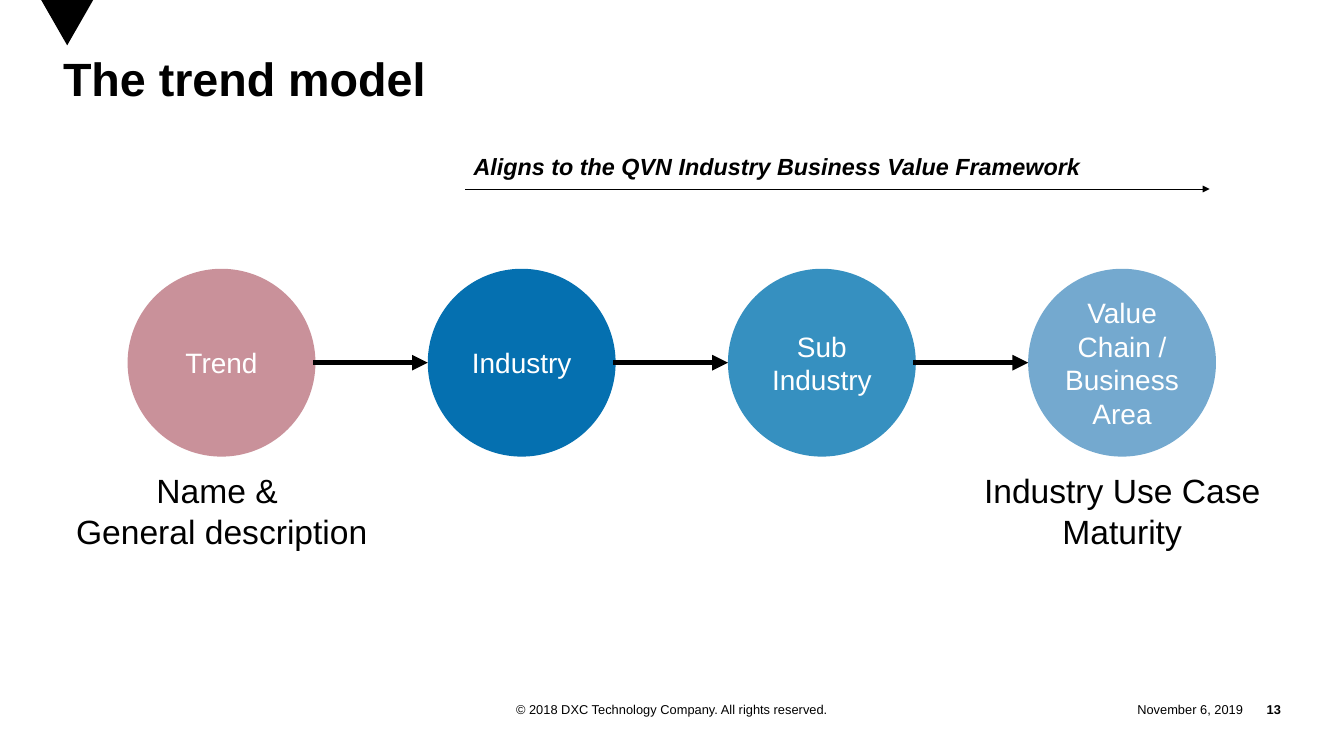
from pptx import Presentation
from pptx.util import Pt
from pptx.dml.color import RGBColor
from pptx.enum.shapes import MSO_CONNECTOR, MSO_SHAPE
from pptx.enum.text import MSO_ANCHOR, PP_ALIGN
from pptx.oxml.ns import qn
from lxml.etree import SubElement

# Content
TITLE = "The trend model"
FRAMEWORK = "Aligns to the QVN Industry Business Value Framework"
STEPS = [
    ("Trend", "rose"),
    ("Industry", "deep"),
    ("Sub\vIndustry", "mid"),
    ("Value Chain / Business Area", "light"),
]
CAPTIONS = [  # text, left, width
    ("Name & \vGeneral description", 56.9, 266.4),
    ("Industry Use Case\nMaturity", 835.2, 253.4),
]
FOOTERS = [  # text, left, width, alignment, bold
    ("© 2018 DXC Technology Company. All rights reserved.", 378, 396, PP_ALIGN.CENTER, False),
    ("November 6, 2019", 936.7, 128.9, PP_ALIGN.RIGHT, False),
    ("13", 1065.6, 32.4, PP_ALIGN.RIGHT, True),
]
COLORS = {"black": "000000", "white": "FFFFFF", "rose": "C9919A",
          "deep": "0570B0", "mid": "3690C0", "light": "74A9CF"}

# Layout in points
CIRCLE, LEFT, TOP, PITCH = 161, 109.4, 230.4, 257.3
MIDDLE = TOP + CIRCLE / 2


def rgb(name):
    return RGBColor.from_string(COLORS[name])


def write(sp, text, size, align=PP_ALIGN.LEFT, color="black", bold=False, italic=False,
          anchor=MSO_ANCHOR.TOP, wrap=True, inset=None):
    tf = sp.text_frame
    tf.text = text
    tf.word_wrap = wrap
    tf.vertical_anchor = anchor
    if inset is not None:
        tf.margin_left = tf.margin_right = tf.margin_top = tf.margin_bottom = Pt(inset)
    for p in tf.paragraphs:
        p.alignment = align
        for r in p.runs:
            f = r.font
            f.name, f.size, f.bold, f.italic = "Arial", Pt(size), bold, italic
            f.color.rgb = rgb(color)


def textbox(s, left, top, width, height):
    return s.shapes.add_textbox(Pt(left), Pt(top), Pt(width), Pt(height))


def arrow(s, x1, x2, y, weight):
    c = s.shapes.add_connector(MSO_CONNECTOR.STRAIGHT, Pt(x1), Pt(y), Pt(x2), Pt(y))
    c.line.color.rgb = rgb("black")
    c.line.width = Pt(weight)
    ln = c.line._get_or_add_ln()
    ln.set("cap", "sq")
    SubElement(ln, qn("a:tailEnd"), type="triangle")
    SubElement(c._element.spPr, qn("a:effectLst"))


def main():
    prs = Presentation()
    prs.slide_width, prs.slide_height = Pt(1152), Pt(648)
    s = prs.slides.add_slide(prs.slide_layouts[5])

    # Corner triangle
    fb = s.shapes.build_freeform(Pt(35.3), 0)
    fb.add_line_segments([(Pt(57.6), Pt(38.9)), (Pt(79.9), 0)], close=True)
    corner = fb.convert_to_shape()
    corner.shadow.inherit = False
    corner.fill.solid()
    corner.fill.fore_color.rgb = rgb("black")
    corner.line.fill.background()

    # Title
    title = s.shapes.title
    title.left, title.top, title.width, title.height = Pt(54), Pt(50.4), Pt(1044), Pt(111.6)
    write(title, TITLE, 40, bold=True, inset=0)
    title.text_frame.paragraphs[0].line_spacing = 0.85

    # Framework heading and its arrow
    write(textbox(s, 398.9, 126.7, 537.8, 31.7), FRAMEWORK, 20,
          bold=True, italic=True, wrap=False)
    arrow(s, 398.9, 1036.8, 162, 0.5)

    # Chain of circles
    for i, (text, color) in enumerate(STEPS):
        x = LEFT + i * PITCH
        sp = s.shapes.add_shape(MSO_SHAPE.OVAL, Pt(x), Pt(TOP), Pt(CIRCLE), Pt(CIRCLE))
        sp.shadow.inherit = False
        sp.fill.solid()
        sp.fill.fore_color.rgb = rgb(color)
        sp.line.fill.background()
        write(sp, text, 24, PP_ALIGN.CENTER, "white", anchor=MSO_ANCHOR.MIDDLE)
        if i:
            arrow(s, x - PITCH + CIRCLE, x, MIDDLE, 4.5)

    # Captions below the end circles
    for text, left, width in CAPTIONS:
        write(textbox(s, left, 399.6, width, 77), text, 28.8, PP_ALIGN.CENTER, wrap=False)

    # Footer
    for text, left, width, align, bold in FOOTERS:
        write(textbox(s, left, 596.9, width, 21.6), text, 11, align, bold=bold,
              anchor=MSO_ANCHOR.MIDDLE, inset=0)

    prs.save("out.pptx")


if __name__ == "__main__":
    main()
